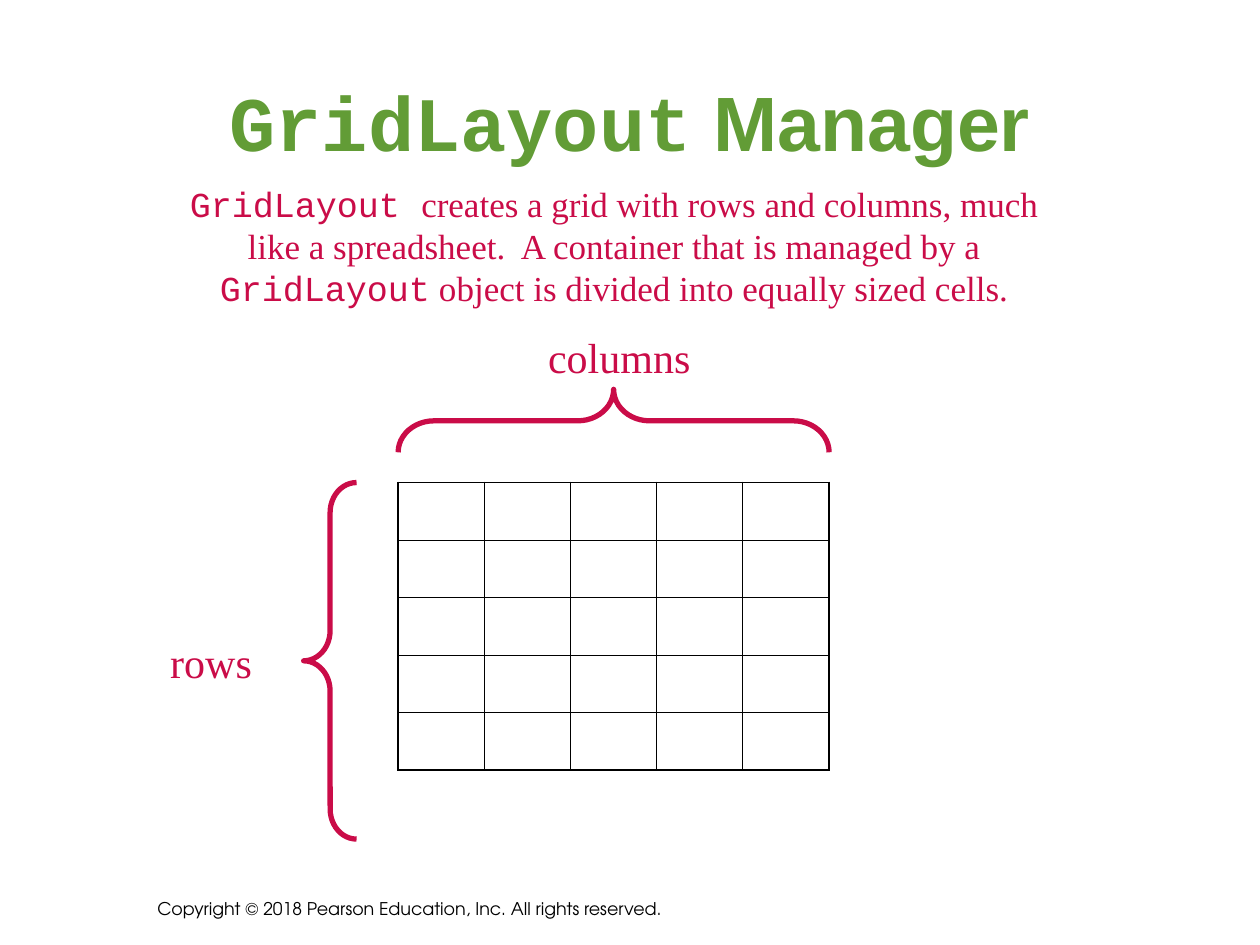
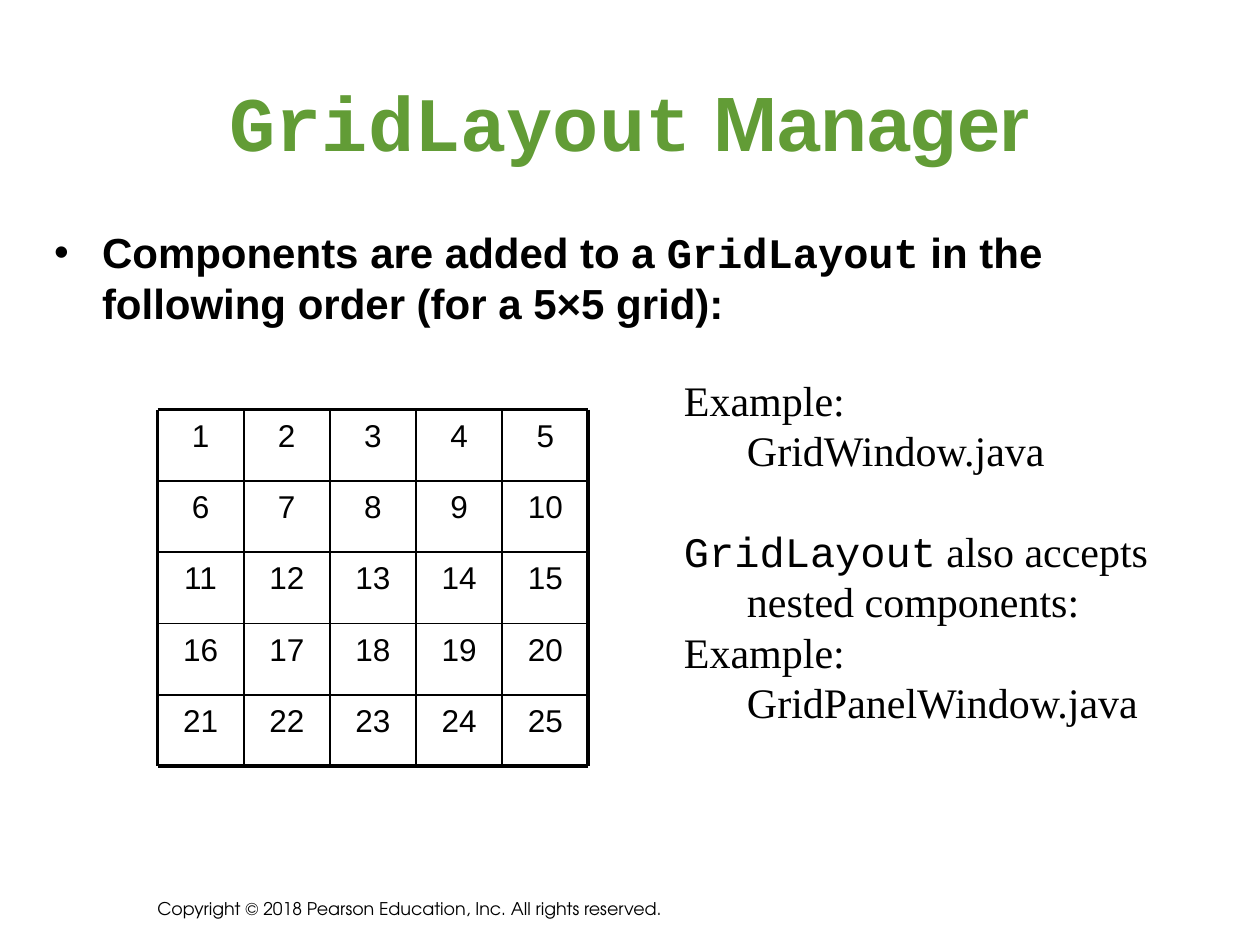
"""Build two slides that explain the GridLayout manager."""
import pptx
import pptx.dml.color
import pptx.enum.shapes
import pptx.enum.text
import pptx.oxml
import pptx.oxml.ns
import pptx.util
from pptx.util import Inches

COLORS = {"title": "629C36", "accent": "CA0C48", "text": "000000"}
SANS, SERIF, MONO = "Arial", "Times New Roman", "Courier New"
FOOTER_FONT = "TeX Gyre Adventor"
ALIGN = pptx.enum.text.PP_ALIGN
ANCHOR = pptx.enum.text.MSO_ANCHOR
GRID_SIZE = 5
GRID_WIDTH = 3.42

TITLE = {"size": 44, "bold": True, "color": "title"}
INTRO = {"size": 20, "color": "accent"}
LABEL = {"size": 24, "color": "accent"}
BULLET = {"size": 24, "bold": True, "color": "text"}
EXAMPLE = {"size": 24, "color": "text"}
FOOTER = {"size": 10, "color": "text"}
NUMBER = {"size": 18, "color": "text"}


def rgb(name):
    return pptx.dml.color.RGBColor.from_string(COLORS[name])


def apply(target, values):
    for name, value in values.items():
        setattr(target, name, value)


def place(shape, left, top, width, height):
    apply(shape, {"left": Inches(left), "top": Inches(top),
                  "width": Inches(width), "height": Inches(height)})


def add_runs(paragraph, runs, style):
    """Add (text, font name) runs; a newline in the text is a line break."""
    for text, font_name in runs:
        for index, line in enumerate(text.split("\n")):
            if index:
                paragraph.add_line_break()
            run = paragraph.add_run()
            run.text = line
            apply(run.font, {"name": font_name, "size": pptx.util.Pt(style["size"]),
                             "bold": style.get("bold", False)})
            run.font.color.rgb = rgb(style["color"])


def write_paragraph(paragraph, runs, style, align=ALIGN.LEFT, before=0, hang=0, bullet=None):
    apply(paragraph, {"alignment": align, "space_before": pptx.util.Pt(before),
                      "line_spacing": pptx.util.Pt(style["size"] * 1.2)})
    properties = paragraph._p.get_or_add_pPr()
    if hang:
        properties.set("marL", str(Inches(hang)))
        properties.set("indent", str(-Inches(hang)))
    if bullet:
        mark = pptx.oxml.parse_xml(
            f'<a:buChar {pptx.oxml.ns.nsdecls("a")} char="{bullet}"/>')
        properties.append(mark)
    add_runs(paragraph, runs, style)


def add_text(slide, box, paragraphs, style, wrap=True, anchor=ANCHOR.TOP, **layout):
    """Add a text box; each paragraph is a pair of runs and space before."""
    frame = slide.shapes.add_textbox(*map(Inches, box)).text_frame
    apply(frame, {"word_wrap": wrap, "vertical_anchor": anchor})
    for index, (runs, before) in enumerate(paragraphs):
        paragraph = frame.add_paragraph() if index else frame.paragraphs[0]
        write_paragraph(paragraph, runs, style, before=before, **layout)


def start_slide(presentation, layout_index):
    """Add a slide with the shared title and copyright line."""
    slide = presentation.slides.add_slide(presentation.slide_layouts[layout_index])
    title = slide.shapes.title
    place(title, 0.5, 0.33, 9, 1.25)
    apply(title.text_frame, {"vertical_anchor": ANCHOR.MIDDLE,
                             "auto_size": pptx.enum.text.MSO_AUTO_SIZE.NONE})
    paragraph = title.text_frame.paragraphs[0]
    paragraph.alignment = ALIGN.CENTER
    add_runs(paragraph, [("GridLayout", MONO), (" Manager", SANS)], TITLE)
    notice = [("Copyright © 2018 Pearson Education, Inc. All rights reserved.", FOOTER_FONT)]
    add_text(slide, (1.15, 7.01, 7.16, 0.33), [(notice, 0)], FOOTER, anchor=ANCHOR.BOTTOM)
    return slide


def set_border(cell, side, points):
    line = pptx.oxml.parse_xml(
        f'<a:ln{side} {pptx.oxml.ns.nsdecls("a")} w="{pptx.util.Pt(points)}">'
        f'<a:solidFill><a:srgbClr val="{COLORS["text"]}"/></a:solidFill></a:ln{side}>')
    cell._tc.get_or_add_tcPr().append(line)


def add_empty_grid(slide, left, top, height, inner, outer):
    """Add a square table of empty cells with a heavier outside border."""
    frame = slide.shapes.add_table(GRID_SIZE, GRID_SIZE, Inches(left), Inches(top),
                                   Inches(GRID_WIDTH), Inches(height))
    grid = frame.table
    apply(grid, {"first_row": False, "horz_banding": False})
    last = GRID_SIZE - 1
    for row in range(GRID_SIZE):
        for column in range(GRID_SIZE):
            cell = grid.cell(row, column)
            edges = {"L": column == 0, "R": column == last, "T": row == 0, "B": row == last}
            for side, is_outside in edges.items():
                set_border(cell, side, outer if is_outside else inner)
            cell.fill.background()


def add_rule(slide, start, end, points):
    rule = slide.shapes.add_connector(pptx.enum.shapes.MSO_CONNECTOR.STRAIGHT,
                                      *map(Inches, start + end))
    rule.line.color.rgb = rgb("text")
    rule.line.width = pptx.util.Pt(points)
    rule._element.spPr.append(
        pptx.oxml.parse_xml(f'<a:effectLst {pptx.oxml.ns.nsdecls("a")}/>'))


def add_numbered_grid(slide, left, top, height, inner, outer):
    """Number the cells in the order they are filled and rule lines between them."""
    cell_width, cell_height = GRID_WIDTH / GRID_SIZE, height / GRID_SIZE
    for index in range(GRID_SIZE ** 2):
        row, column = divmod(index, GRID_SIZE)
        box = (left + column * cell_width, top + row * cell_height, cell_width, cell_height)
        add_text(slide, box, [([(str(index + 1), SANS)], 0)], NUMBER, align=ALIGN.CENTER)
    right, bottom = left + GRID_WIDTH, top + height
    for index in range(GRID_SIZE + 1):
        points = outer if index in (0, GRID_SIZE) else inner
        x, y = left + index * cell_width, top + index * cell_height
        add_rule(slide, (left, y), (right, y), points)
        add_rule(slide, (x, top), (x, bottom), points)


def add_brace(slide, box, rotation=0):
    brace = slide.shapes.add_shape(pptx.enum.shapes.MSO_SHAPE.LEFT_BRACE, *map(Inches, box))
    brace.rotation = rotation
    brace.shadow.inherit = False
    brace.fill.background()
    brace.line.color.rgb = rgb("accent")
    brace.line.width = pptx.util.Pt(3)
    brace.adjustments[0] = 0.57


def build_structure_slide(presentation):
    slide = start_slide(presentation, 5)
    intro = [("GridLayout ", MONO),
             ("creates a grid with rows and columns, much like a spreadsheet.  "
              "A container that is managed by a ", SERIF),
             ("GridLayout", MONO),
             (" object is divided into equally sized cells.", SERIF)]
    add_text(slide, (1.33, 1.4, 7.09, 1.1), [(intro, 0)], INTRO, align=ALIGN.CENTER)
    add_empty_grid(slide, 3.16, 3.83, 2.28, inner=0.45, outer=1.08)
    add_brace(slide, (4.62, 1.63, 0.5, GRID_WIDTH), rotation=90)
    add_brace(slide, (2.41, 3.83, 0.42, 2.83))
    labels = {"columns": (4.25, 2.58, 1.33, 0.5), "rows": (1.25, 5, 0.85, 0.5)}
    for label, box in labels.items():
        add_text(slide, box, [([(label, SERIF)], 0)], LABEL, wrap=False, align=ALIGN.CENTER)


def build_order_slide(presentation):
    slide = start_slide(presentation, 1)
    body = slide.placeholders[1]
    place(body, 0.33, 1.75, 9.07, 1.21)
    body.text_frame.auto_size = pptx.enum.text.MSO_AUTO_SIZE.NONE
    order = [("Components are added to a ", SANS), ("GridLayout", MONO),
             (" in the following order (for a 5×5 grid):", SANS)]
    write_paragraph(body.text_frame.paragraphs[0], order, BULLET, hang=0.38, bullet="•")
    add_numbered_grid(slide, 1.25, 3.25, 2.83, inner=1, outer=2.25)
    examples = [
        ([("Example:\nGridWindow.java", SERIF)], 0),
        ([("GridLayout", MONO), (" also accepts nested components:", SERIF)], 28.8),
        ([("Example:\nGridPanelWindow.java", SERIF)], 0),
    ]
    add_text(slide, (5.33, 2.92, 4.08, 2.9), examples, EXAMPLE, hang=0.5)


def main():
    presentation = pptx.Presentation()
    apply(presentation, {"slide_width": Inches(10), "slide_height": Inches(7.5)})
    build_structure_slide(presentation)
    build_order_slide(presentation)
    presentation.save("out.pptx")


if __name__ == "__main__":
    main()
